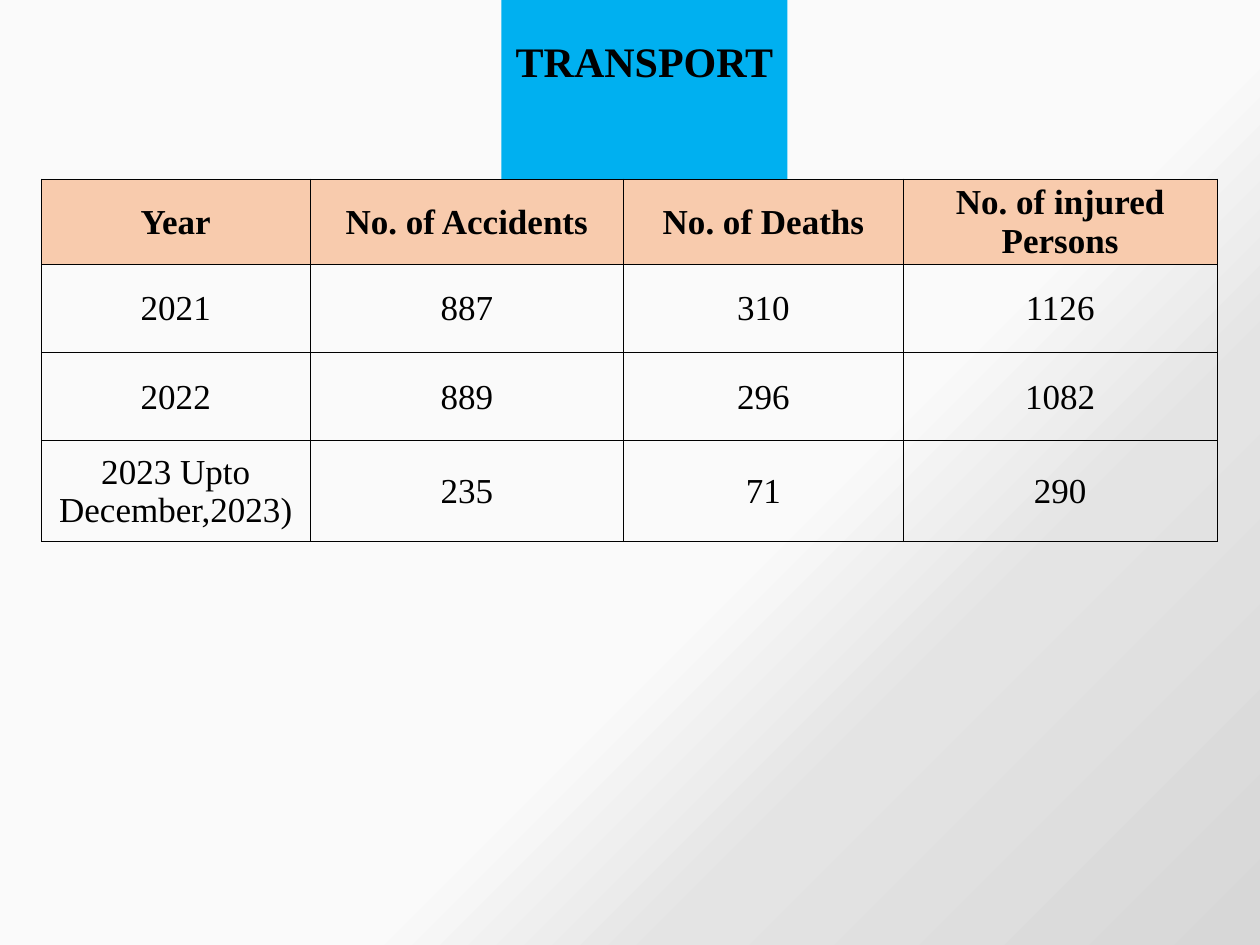
from pptx import Presentation
from pptx.dml.color import RGBColor
from pptx.enum import text
from pptx.oxml import parse_xml
from pptx.oxml.ns import nsdecls
from pptx.util import Inches, Pt

COLORS = {"title": "00B0F0", "header": "F8CBAD", "ink": "000000"}
BACKGROUND_STOPS = [(59, "FAFAFA"), (73, "E4E4E4"), (100, "D7D7D7")]
COLUMN_WIDTHS = [2.13, 2.49, 2.22, 2.49]
ROW_HEIGHTS = [0.67, 0.7, 0.7, 0.8]
ACCIDENTS = [
    ["Year", "No. of Accidents", "No. of Deaths", "No. of injured Persons"],
    ["2021", "887", "310", "1126"],
    ["2022", "889", "296", "1082"],
    ["2023 Upto December,2023)", "235", "71", "290"],
]


def write_centred(frame, words, size, bold):
    frame.text = words
    paragraph = frame.paragraphs[0]
    paragraph.alignment = text.PP_ALIGN.CENTER
    font = paragraph.runs[0].font
    font.name = "Times New Roman"
    font.size = Pt(size)
    font.bold = bold
    font.color.rgb = RGBColor.from_string(COLORS["ink"])


def add_borders(cell):
    """Draw a thin line on all four sides of a table cell."""
    properties = cell._tc.get_or_add_tcPr()
    for position, side in enumerate(("lnL", "lnR", "lnT", "lnB")):
        properties.insert(position, parse_xml(
            f'<a:{side} {nsdecls("a")} w="{Pt(0.5)}"><a:solidFill>'
            f'<a:srgbClr val="{COLORS["ink"]}"/></a:solidFill></a:{side}>'))


prs = Presentation()
prs.slide_width = Inches(10)
prs.slide_height = Inches(7.5)
slide = prs.slides.add_slide(prs.slide_layouts[5])

# Diagonal gradient background
stops = "".join(f'<a:gs pos="{percent * 1000}"><a:srgbClr val="{color}"/></a:gs>'
                for percent, color in BACKGROUND_STOPS)
slide.element.cSld.insert(0, parse_xml(
    f'<p:bg {nsdecls("p", "a")}><p:bgPr><a:gradFill><a:gsLst>{stops}</a:gsLst>'
    '<a:lin ang="2700000" scaled="0"/></a:gradFill><a:effectLst/></p:bgPr></p:bg>'))

# Title
title = slide.shapes.title
title.left, title.top = Inches(3.98), Inches(0.23)
title.width, title.height = Inches(2.27), Inches(0.5)
title.fill.solid()
title.fill.fore_color.rgb = RGBColor.from_string(COLORS["title"])
write_centred(title.text_frame, "TRANSPORT", 24, True)
title.text_frame.word_wrap = False
title.text_frame.auto_size = text.MSO_AUTO_SIZE.SHAPE_TO_FIT_TEXT

# Accident table
table = slide.shapes.add_table(
    len(ACCIDENTS), len(COLUMN_WIDTHS), Inches(0.33), Inches(1.42),
    Inches(sum(COLUMN_WIDTHS)), Inches(sum(ROW_HEIGHTS))).table
table.first_row = table.horz_banding = False
for column, width in zip(table.columns, COLUMN_WIDTHS):
    column.width = Inches(width)

for row, height, values in zip(table.rows, ROW_HEIGHTS, ACCIDENTS):
    row.height = Inches(height)
    is_header = values is ACCIDENTS[0]
    for cell, value in zip(row.cells, values):
        write_centred(cell.text_frame, value, 20, is_header)
        cell.vertical_anchor = text.MSO_ANCHOR.MIDDLE
        cell.margin_left = cell.margin_right = cell.margin_top = Inches(0.01)
        cell.margin_bottom = 0
        if is_header:
            cell.fill.solid()
            cell.fill.fore_color.rgb = RGBColor.from_string(COLORS["header"])
        else:
            cell.fill.background()
        add_borders(cell)

prs.save("out.pptx")
